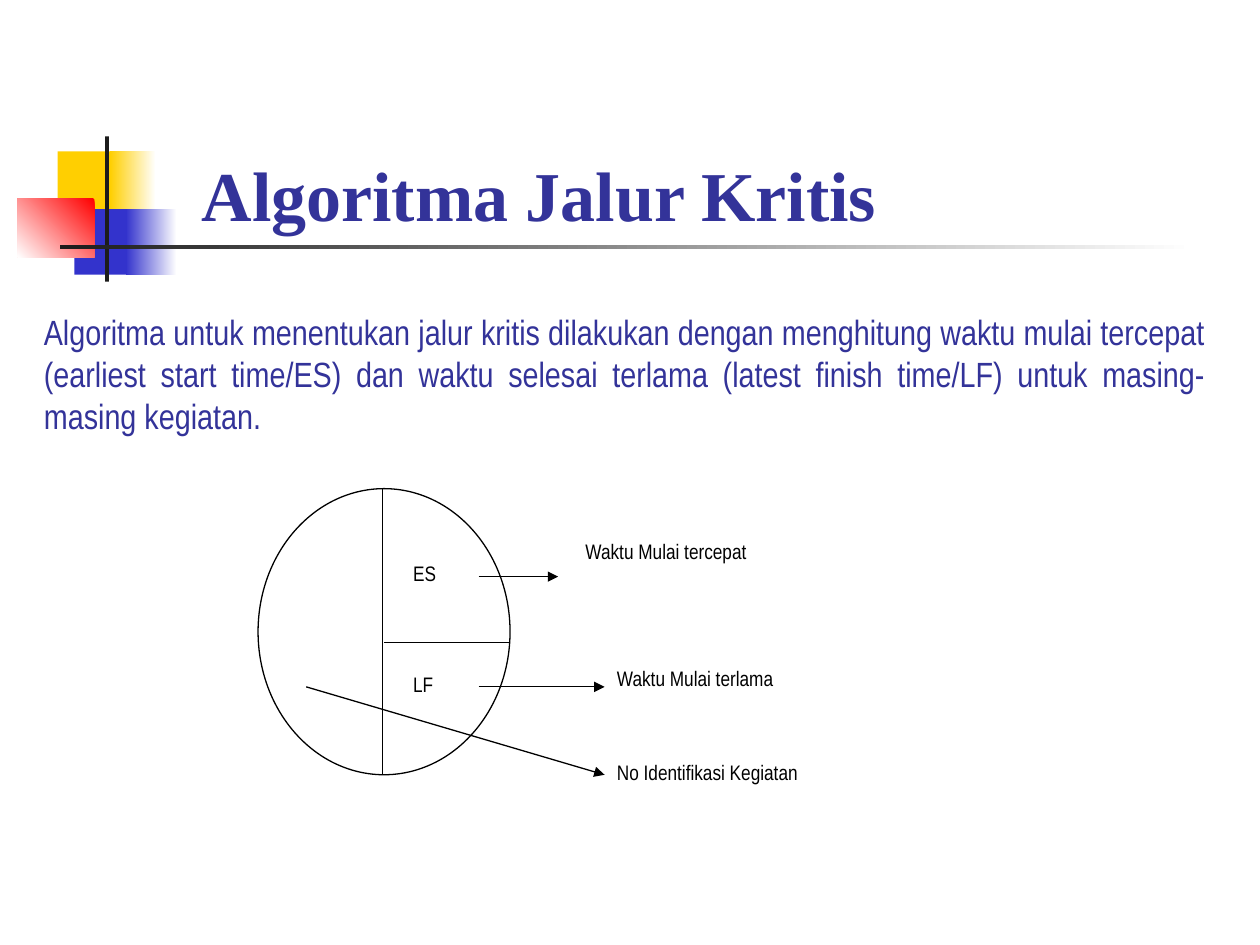
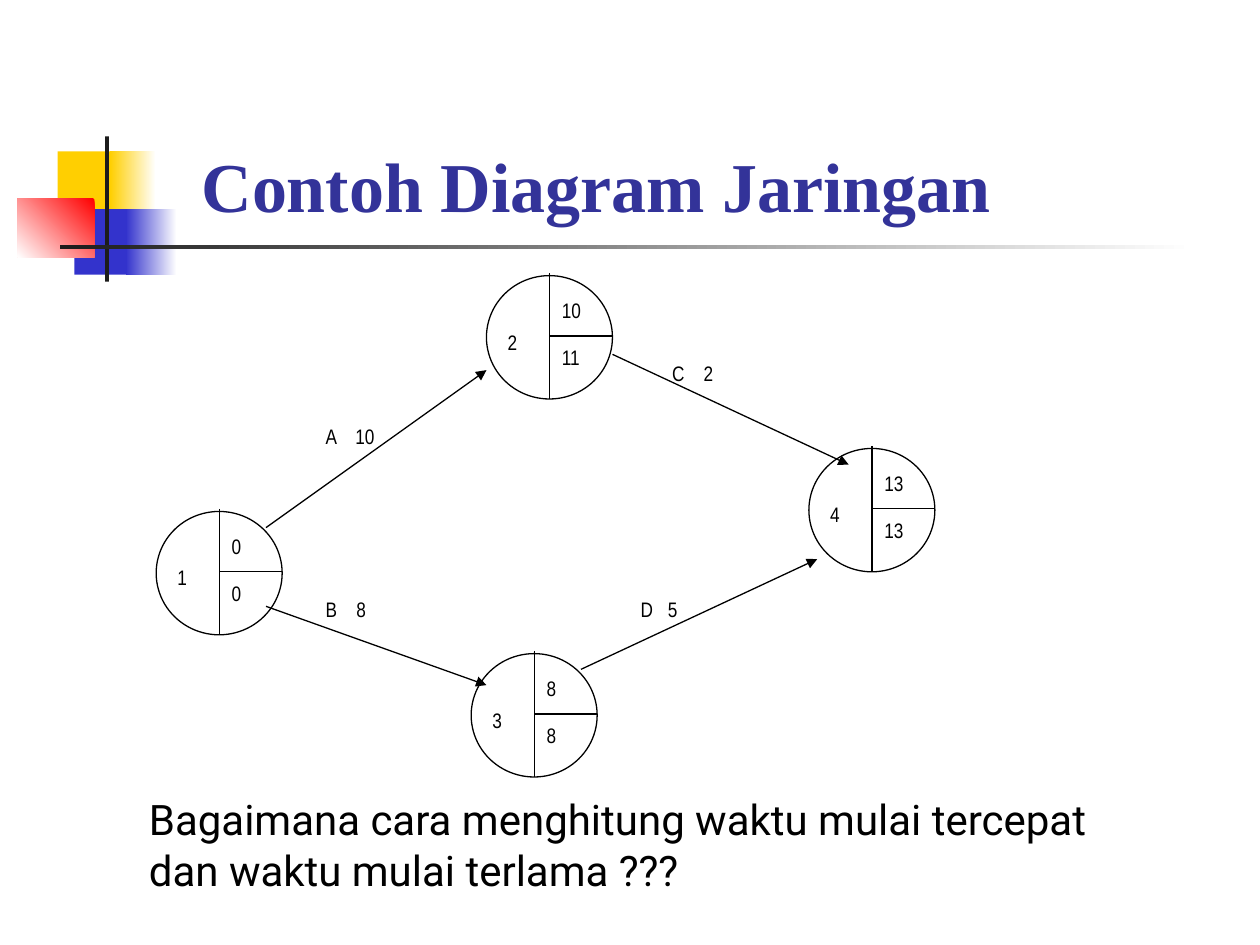
from pptx import Presentation
from pptx.dml.color import RGBColor
from pptx.enum.shapes import MSO_CONNECTOR, MSO_SHAPE
from pptx.enum.text import MSO_ANCHOR, MSO_AUTO_SIZE, PP_ALIGN
from pptx.oxml.ns import qn
from pptx.util import Pt
from lxml import etree

RECTANGLE, ELLIPSE = MSO_SHAPE.RECTANGLE, MSO_SHAPE.OVAL
STRAIGHT = MSO_CONNECTOR.STRAIGHT
TOP, BOTTOM = MSO_ANCHOR.TOP, MSO_ANCHOR.BOTTOM
NO_AUTOFIT = MSO_AUTO_SIZE.NONE
LEFT, JUSTIFY = PP_ALIGN.LEFT, PP_ALIGN.JUSTIFY
TITLE_ONLY = 5

COLOURS = {
    "title": "333399",
    "text": "000000",
    "line": "000000",
    "white": "FFFFFF",
    "yellow": "FFCF01",
    "blue": "3333CC",
    "red": "FF0000",
    "dark": "1C1C1C",
}

TITLE_FORMAT = {"name": "Times New Roman", "size": Pt(40), "bold": True}
BODY_FORMAT = {"name": "Arial Narrow", "size": Pt(20)}
LABEL_FORMAT = {"name": "Arial Narrow", "size": Pt(12)}
QUESTION_FORMAT = {"name": "Roboto", "size": Pt(24)}

# left, top, width, height, colours (two make a gradient), gradient angle
DECORATION = [
    (33, 86.5, 34.5, 37.5, ["yellow"], None),
    (63, 86.5, 26, 37.5, ["white", "yellow"], 180),
    (42.5, 119.5, 33, 37.5, ["blue"], None),
    (72, 119.5, 29, 37.5, ["white", "blue"], 180),
    (10, 113.5, 44, 33.5, ["red", "white"], 225),
    (60, 78, 2.25, 83, ["dark"], None),
    (34.5, 140, 648, 2.5, ["white", "dark"], 180),
]

NODE_WIDTH, NODE_HEIGHT = 72, 70.5
# left, top, number, earliest start, latest finish
NODES = [
    (89.25, 292.25, "1", "0", "0"),
    (278, 157.5, "2", "10", "11"),
    (269.25, 373.5, "3", "8", "8"),
    (462.25, 256.25, "4", "13", "13"),
]
# start, end, label place, activity, duration, tab stop
ACTIVITIES = [
    ((152, 301.5), (278, 211.5), (179, 238.5), "A", "10", 17),
    ((152, 346.5), (278, 391.5), (179, 337.5), "B", "8", 17.5),
    ((332, 382.5), (467, 319.5), (359, 337.5), "D", "5", 15.5),
    ((350, 202.5), (485, 265.5), (377, 202.5), "C", "2", 18),
]
# text, left, top, width
LEGEND_LABELS = [
    ("ES", 229, 316.75, 54),
    ("LF", 229, 380.25, 54),
    ("Waktu Mulai tercepat", 327.5, 304, 144),
    ("Waktu Mulai terlama", 345.5, 377, 144),
    ("No Identifikasi Kegiatan", 345.5, 430.5, 144),
]
LEGEND_ARROWS = [
    ((175, 392.5), (345.5, 442.75)),
    ((273.5, 329.5), (319, 329.5)),
    ((273.5, 392.5), (345.5, 392.5)),
]


def colour(name):
    return RGBColor.from_string(COLOURS[name])


def set_attributes(target, values):
    for name, value in values.items():
        setattr(target, name, value)


def in_points(*lengths):
    return [Pt(length) for length in lengths]


def write_text(shape, text, text_format, colour_name="text", align=LEFT,
               anchor=TOP, tab_stop=None):
    frame = shape.text_frame
    set_attributes(frame, {
        "word_wrap": True, "auto_size": NO_AUTOFIT, "vertical_anchor": anchor,
        "margin_left": Pt(7.2), "margin_right": Pt(7.2),
        "margin_top": Pt(3.6), "margin_bottom": Pt(3.6),
    })
    para = frame.paragraphs[0]
    para.alignment = align
    if tab_stop:
        properties = para._p.get_or_add_pPr()
        tabs = etree.SubElement(properties, qn("a:tabLst"))
        etree.SubElement(tabs, qn("a:tab"), pos=str(Pt(tab_stop)), algn="l")
    span = para.add_run()
    span.text = text
    set_attributes(span.font, text_format)
    span.font.color.rgb = colour(colour_name)


def add_text(slide, text, left, top, width, height, text_format, **options):
    box = slide.shapes.add_textbox(*in_points(left, top, width, height))
    write_text(box, text, text_format, **options)


def add_label(slide, text, left, top, width=54, tab_stop=None):
    add_text(slide, text, left, top, width, 27, LABEL_FORMAT, tab_stop=tab_stop)


def add_decoration(slide):
    for left, top, width, height, names, angle in DECORATION:
        block = slide.shapes.add_shape(
            RECTANGLE, *in_points(left, top, width, height))
        block.shadow.inherit = False
        block.line.fill.background()
        if angle is None:
            block.fill.solid()
            block.fill.fore_color.rgb = colour(names[0])
        else:
            block.fill.gradient()
            block.fill.gradient_angle = angle
            for stop, name in zip(block.fill.gradient_stops, names):
                stop.color.rgb = colour(name)


def add_titled_slide(deck, title, left, top, width, height):
    slide = deck.slides.add_slide(deck.slide_layouts[TITLE_ONLY])
    add_decoration(slide)
    holder = slide.shapes.title
    place = in_points(left, top, width, height)
    set_attributes(holder, dict(zip(("left", "top", "width", "height"), place)))
    write_text(holder, title, TITLE_FORMAT, "title", anchor=BOTTOM)
    return slide


def add_ellipse(slide, left, top, width, height):
    ellipse = slide.shapes.add_shape(
        ELLIPSE, *in_points(left, top, width, height))
    ellipse.shadow.inherit = False
    ellipse.fill.solid()
    ellipse.fill.fore_color.rgb = colour("white")
    ellipse.line.color.rgb = colour("line")
    ellipse.line.width = Pt(0.75)


def add_line(slide, start, end, arrow=False):
    connector = slide.shapes.add_connector(
        STRAIGHT, *in_points(*start, *end))
    connector.line.color.rgb = colour("line")
    connector.line.width = Pt(0.75)
    if arrow:
        etree.SubElement(connector.line._ln, qn("a:tailEnd"), type="triangle")
    etree.SubElement(connector._element.spPr, qn("a:effectLst"))


def add_node(slide, left, top, number, earliest, latest):
    """Circle split into the node number, earliest start and latest finish."""
    centre, middle = left + NODE_WIDTH / 2, top + 34.5
    add_ellipse(slide, left, top, NODE_WIDTH, NODE_HEIGHT)
    add_line(slide, (centre, top - 1.5), (centre, top + NODE_HEIGHT))
    add_line(slide, (centre, middle), (left + NODE_WIDTH, middle))
    add_label(slide, earliest, centre, top + 9)
    add_label(slide, latest, centre, top + 36)
    add_label(slide, number, left + 5, top + 27)


def build_algorithm_slide(deck):
    slide = add_titled_slide(deck, "Algoritma Jalur Kritis", 108, 24, 588, 114)
    add_text(
        slide,
        "Algoritma untuk menentukan jalur kritis dilakukan dengan menghitung "
        "waktu mulai tercepat (earliest start time/ES) dan waktu selesai "
        "terlama (latest finish time/LF) untuk masing-masing kegiatan.",
        18, 174, 678, 84, BODY_FORMAT, colour_name="title", align=JUSTIFY)
    add_ellipse(slide, 147.5, 279.25, 144, 163.5)
    add_line(slide, (218.75, 279.25), (218.75, 442.75))
    add_line(slide, (219.5, 367.25), (291.5, 367.25))
    for label in LEGEND_LABELS:
        add_label(slide, *label)
    for start, end in LEGEND_ARROWS:
        add_line(slide, start, end, arrow=True)


def build_network_slide(deck):
    slide = add_titled_slide(
        deck, "Contoh Diagram Jaringan", 108, 84, 479.5, 49)
    for node in NODES:
        add_node(slide, *node)
    for start, end, place, activity, duration, tab_stop in ACTIVITIES:
        add_line(slide, start, end, arrow=True)
        add_label(slide, f"{activity}\t{duration}", *place, tab_stop=tab_stop)
    add_text(
        slide,
        "Bagaimana cara menghitung waktu mulai tercepat dan waktu mulai "
        "terlama ???",
        78, 450, 588, 65, QUESTION_FORMAT)


def main():
    deck = Presentation()
    deck.slide_width, deck.slide_height = Pt(720), Pt(540)
    build_algorithm_slide(deck)
    build_network_slide(deck)
    deck.save("out.pptx")


if __name__ == "__main__":
    main()
